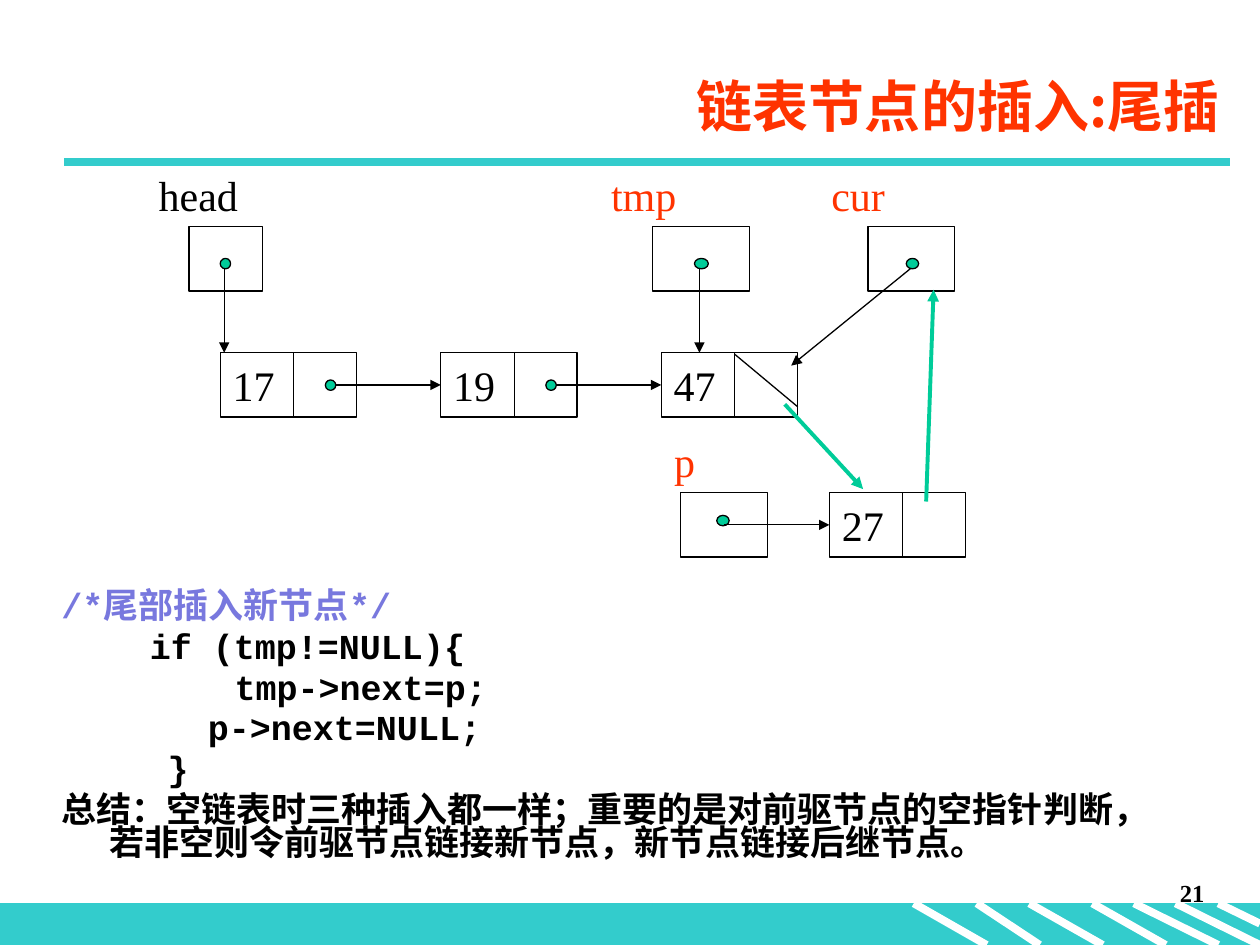
from typing import NamedTuple

from lxml import etree
from pptx import Presentation
from pptx.dml.color import RGBColor
from pptx.enum.shapes import MSO_CONNECTOR, MSO_SHAPE
from pptx.enum.text import MSO_ANCHOR, MSO_AUTO_SIZE, PP_ALIGN
from pptx.oxml.ns import qn
from pptx.util import Cm, Pt

STRAIGHT = MSO_CONNECTOR.STRAIGHT
RECTANGLE, OVAL = MSO_SHAPE.RECTANGLE, MSO_SHAPE.OVAL
TOP, MIDDLE = MSO_ANCHOR.TOP, MSO_ANCHOR.MIDDLE
LEFT, RIGHT = PP_ALIGN.LEFT, PP_ALIGN.RIGHT
NO_AUTOFIT = MSO_AUTO_SIZE.NONE

BLACK, WHITE, RED = "000000", "FFFFFF", "FF3300"
TEAL, GREEN, VIOLET = "33CCCC", "00CC99", "7878DE"
SERIF, MONO, CJK = "Times New Roman", "Courier New", "Noto Sans CJK SC"

BOX_HEIGHT = 1.3
NODE_WIDTH = 2.75
DIVIDER_OFFSET = 1.48
DOT_HEIGHT = 0.21
LIST_TOP = 7.11
LEFT_SIDE = 1


class Node(NamedTuple):
    value: str
    left: float
    top: float


class Pointer(NamedTuple):
    name: str
    color: str
    label: tuple[float, float]
    box: tuple[float, float, float]
    dot: tuple[float, float, float]


class CodeLine(NamedTuple):
    text: str
    margin: float
    first_indent: float = 0
    color: str = BLACK


class Segment(NamedTuple):
    start: tuple[float, float]
    end: tuple[float, float]
    color: str = BLACK
    width: float = 0.75
    arrow: bool = False


NODES = [Node(value, 4.44 + 4.445 * i, LIST_TOP)
         for i, value in enumerate(("17", "19", "47"))]
NEW_NODE = Node("27", 16.72, 9.93)

POINTERS = [
    Pointer("head", BLACK, (2.95, 3.3), (3.81, 4.57, 1.48), (4.44, 5.21, 0.21)),
    Pointer("tmp", RED, (12.07, 3.3), (13.16, 4.57, 1.95), (14, 5.21, 0.28)),
    Pointer("cur", RED, (16.51, 3.3), (17.5, 4.57, 1.75), (18.27, 5.21, 0.25)),
    Pointer("p", RED, (13.34, 8.66), (13.72, 9.93, 1.75), (14.45, 10.39, 0.25)),
]

LINKS = [
    Segment((4.52, 5.43), (4.52, LIST_TOP), arrow=True),
    Segment((14.1, 5.41), (14.1, LIST_TOP), arrow=True),
    Segment((18.36, 5.41), (15.95, 7.37), arrow=True),
    Segment((14.81, 7.14), (16.08, 8.2)),
    Segment((15.82, 8.15), (17.4, 9.86), GREEN, 2.25, True),
    Segment((18.67, 10.11), (18.82, 5.84), GREEN, 2.25, True),
]

STRIPES = [(18.42, 19.89), (19.69, 20.96), (20.75, 22.23), (22.02, 23.5),
           (22.86, 24.56), (23.7, 25.4)]

CODE = [
    CodeLine("/*尾部插入新节点*/", 0.96, -0.96, VIOLET),
    CodeLine("if (tmp!=NULL){", 1.78),
    CodeLine("tmp->next=p;", 3.49),
    CodeLine("p->next=NULL;", 2.95),
    CodeLine("}", 2.14),
    CodeLine("总结：空链表时三种插入都一样；重要的是对前驱节点的空指针判断，"
             "若非空则令前驱节点链接新节点，新节点链接后继节点。", 0.96, -0.96),
]


def rgb(color: str) -> RGBColor:
    return RGBColor.from_string(color)


def add_segment(slide, segment: Segment):
    line = slide.shapes.add_connector(
        STRAIGHT, *(Cm(v) for v in segment.start + segment.end))
    line.line.color.rgb = rgb(segment.color)
    line.line.width = Pt(segment.width)
    if segment.arrow:
        outline = line.line._get_or_add_ln()
        etree.SubElement(outline, qn("a:tailEnd"), type="triangle")
    etree.SubElement(line._element.spPr, qn("a:effectLst"))
    return line


def add_box(slide, kind, left: float, top: float, width: float, height: float,
            fill: str | None = None, outline: str = BLACK):
    box = slide.shapes.add_shape(kind, Cm(left), Cm(top), Cm(width), Cm(height))
    box.shadow.inherit = False
    if fill:
        box.fill.solid()
        box.fill.fore_color.rgb = rgb(fill)
    else:
        box.fill.background()
    box.line.color.rgb = rgb(outline)
    box.line.width = Pt(0.75)
    return box


def add_text_box(slide, left: float, top: float, width: float, height: float):
    return slide.shapes.add_textbox(Cm(left), Cm(top), Cm(width), Cm(height)).text_frame


def write(paragraph, text: str, size: float, font: str = SERIF,
          color: str = BLACK, bold: bool = False, align=LEFT) -> None:
    paragraph.alignment = align
    run = paragraph.add_run()
    run.text = text
    for name, value in {"size": Pt(size), "name": font, "bold": bold}.items():
        setattr(run.font, name, value)
    run.font.color.rgb = rgb(color)
    east_asian = etree.SubElement(run._r.get_or_add_rPr(), qn("a:ea"))
    east_asian.set("typeface", CJK)


def set_frame(frame, anchor=TOP) -> None:
    settings = {"word_wrap": True, "auto_size": NO_AUTOFIT, "vertical_anchor": anchor}
    for name, value in settings.items():
        setattr(frame, name, value)


def add_node(slide, node: Node):
    box = add_box(slide, RECTANGLE, node.left, node.top, NODE_WIDTH, BOX_HEIGHT)
    set_frame(box.text_frame, MIDDLE)
    write(box.text_frame.paragraphs[0], node.value, 24)
    divider = node.left + DIVIDER_OFFSET
    add_segment(slide, Segment((divider, node.top), (divider, node.top + 1.27)))
    return box


def add_pointer(slide, pointer: Pointer) -> None:
    left, top, width = pointer.box
    add_box(slide, RECTANGLE, left, top, width, BOX_HEIGHT)
    add_box(slide, OVAL, *pointer.dot, DOT_HEIGHT, GREEN)
    label = add_text_box(slide, *pointer.label, 3.4, 1.27)
    set_frame(label)
    write(label.paragraphs[0], pointer.name, 24, color=pointer.color)


def add_arrow_to_node(slide, start: tuple[float, float], node_box) -> None:
    arrow = add_segment(slide, Segment(start, start, arrow=True))
    arrow.end_connect(node_box, LEFT_SIDE)


def add_frame_decoration(slide) -> None:
    add_box(slide, RECTANGLE, 0, 18.21, 25.4, 0.84, TEAL, TEAL)
    for start, end in STRIPES:
        add_segment(slide, Segment((start, 18.21), (end, 19.05), WHITE, 4.5))
    add_segment(slide, Segment((24.56, 18.21), (25.4, 18.62), WHITE, 4.5))
    add_segment(slide, Segment((1.3, 3.27), (24.79, 3.27), TEAL, 4.5))
    page_number = add_text_box(slide, 19.25, 17.58, 5.28, 1.27)
    set_frame(page_number)
    write(page_number.paragraphs[0], "21", 14, bold=True, align=RIGHT)


def add_title(slide) -> None:
    title = slide.shapes.title
    place = {"left": 3.5, "top": 1.12, "width": 21.6, "height": 2}
    for name, value in place.items():
        setattr(title, name, Cm(value))
    set_frame(title.text_frame, MIDDLE)
    write(title.text_frame.paragraphs[0], "链表节点的插入:尾插 ", 32, CJK, RED, True, RIGHT)


def add_linked_list(slide) -> None:
    boxes = [add_node(slide, node) for node in NODES]
    for node, next_box in zip(NODES, boxes[1:]):
        dot_left = node.left + 2.12
        add_box(slide, OVAL, dot_left, node.top + 0.55, DOT_HEIGHT, DOT_HEIGHT, GREEN)
        start = (dot_left + DOT_HEIGHT, node.top + BOX_HEIGHT / 2)
        add_arrow_to_node(slide, start, next_box)
    new_box = add_node(slide, NEW_NODE)
    for pointer in POINTERS:
        add_pointer(slide, pointer)
    add_arrow_to_node(slide, (14.6, NEW_NODE.top + BOX_HEIGHT / 2), new_box)
    for link in LINKS:
        add_segment(slide, link)


def add_code(slide) -> None:
    frame = add_text_box(slide, 0.99, 11.81, 22.9, 4.88)
    set_frame(frame)
    for i, line in enumerate(CODE):
        paragraph = frame.add_paragraph() if i else frame.paragraphs[0]
        paragraph.line_spacing = 0.8
        paragraph.space_before = Pt(4)
        properties = paragraph._p.get_or_add_pPr()
        properties.set("marL", str(Cm(line.margin)))
        properties.set("indent", str(Cm(line.first_indent)))
        write(paragraph, line.text, 20, MONO, line.color, True)


def main() -> None:
    deck = Presentation()
    deck.slide_width, deck.slide_height = Cm(25.4), Cm(19.05)
    slide = deck.slides.add_slide(deck.slide_layouts[5])
    add_frame_decoration(slide)
    add_title(slide)
    add_linked_list(slide)
    add_code(slide)
    deck.save("out.pptx")


if __name__ == "__main__":
    main()
